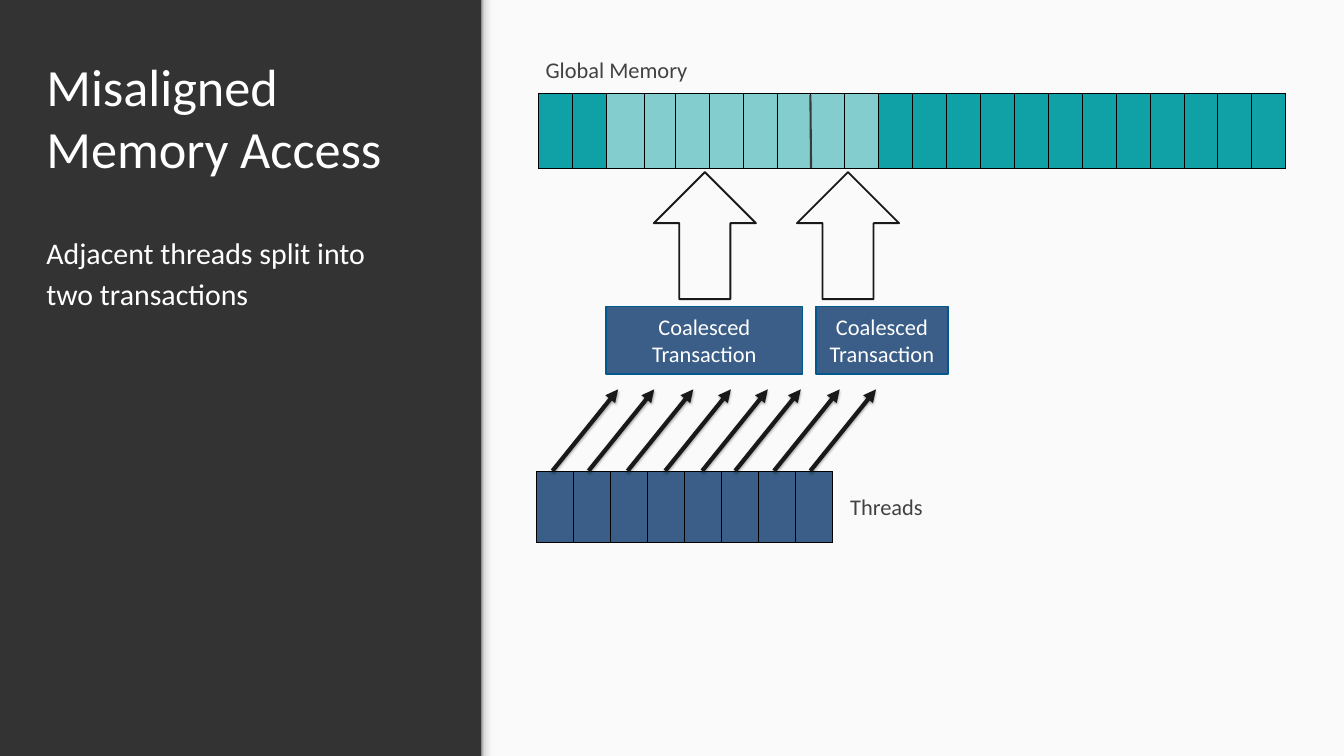
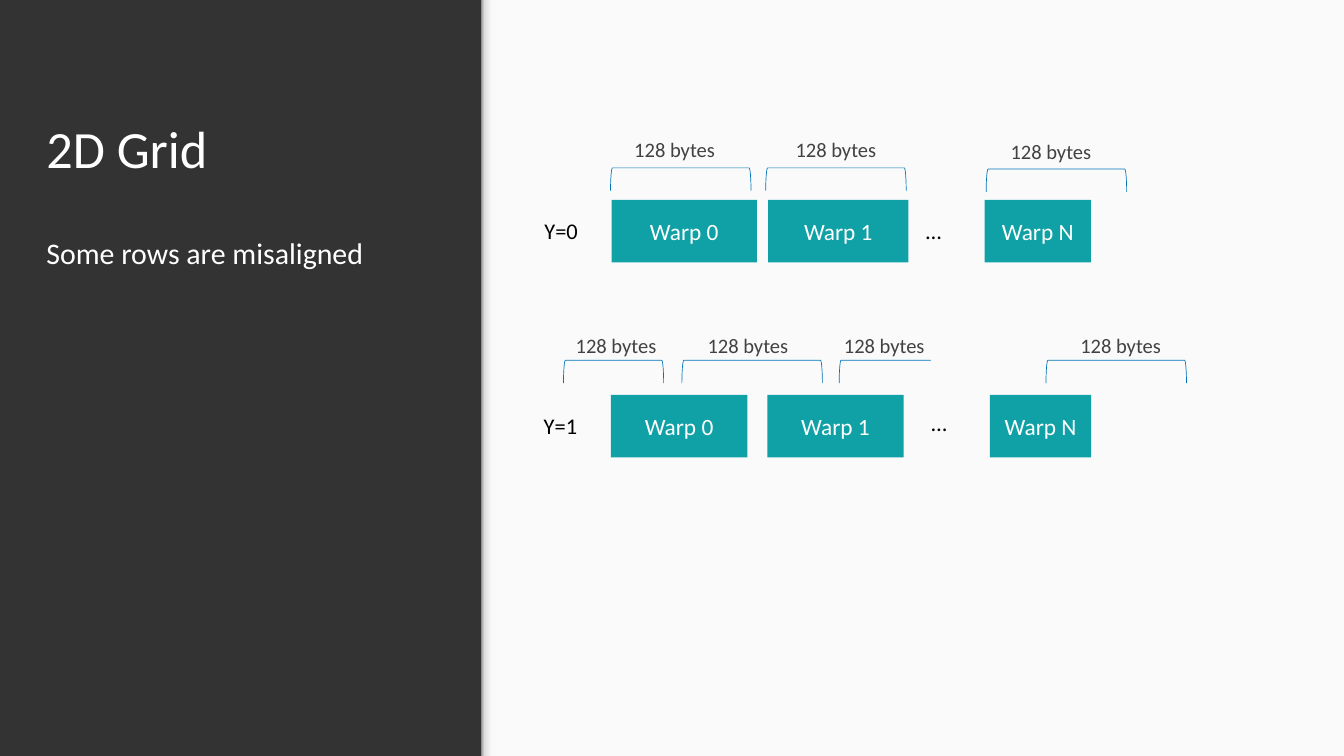
from copy import deepcopy
from pptx import Presentation
from pptx.dml.color import RGBColor
from pptx.enum.shapes import MSO_CONNECTOR as LINK, MSO_SHAPE as KIND
from pptx.enum.text import MSO_ANCHOR as ANCHOR, PP_ALIGN as ALIGN
from pptx.oxml import parse_xml
from pptx.oxml.ns import nsdecls, qn
from pptx.util import Pt

FONT = "Calibri"
DARK = RGBColor(0x33, 0x33, 0x33)
PAPER = RGBColor(0xFA, 0xFA, 0xFA)
WHITE = RGBColor(0xFF, 0xFF, 0xFF)
BLACK = RGBColor(0, 0, 0)
GREY = RGBColor(0x42, 0x42, 0x42)
INK = RGBColor(0x19, 0x19, 0x19)
RULE = RGBColor(0x3A, 0x3A, 0x3A)
TEAL = RGBColor(0x10, 0xA1, 0xA6)
NAVY = RGBColor(0x3A, 0x5E, 0x87)
EDGE = RGBColor(0x01, 0x58, 0x8C)
BLUE = RGBColor(0x00, 0x75, 0xBB)
FADE = [(0, RGBColor(0x99, 0x99, 0x99)), (0.2, RGBColor(0xDE, 0xDE, 0xDE)),
        (0.64, RGBColor(0xF9, 0xF9, 0xF9)), (1, RGBColor(0xF9, 0xF9, 0xF9))]
WIDE, HIGH = 1440, 809.62


def draw(slide, kind, x, y, w, h, fill=None, line=None, width=2):
    shape = slide.shapes.add_shape(kind, Pt(x), Pt(y), Pt(w), Pt(h))
    shape.shadow.inherit = False
    if fill is None:
        shape.fill.background()
    else:
        shape.fill.solid()
        shape.fill.fore_color.rgb = fill
    if line is None:
        shape.line.fill.background()
    else:
        shape.line.color.rgb = line
        shape.line.width = Pt(width)
    return shape


def write(shape, text, size, color, align=ALIGN.LEFT, anchor=ANCHOR.TOP):
    frame = shape.text_frame
    frame.word_wrap = True
    frame.vertical_anchor = anchor
    para = frame.paragraphs[0]
    para.alignment = align
    run = para.add_run()
    run.text = text
    run.font.name = FONT
    run.font.size = Pt(size)
    run.font.color.rgb = color
    return frame


prs = Presentation()
prs.slide_width, prs.slide_height = Pt(WIDE), Pt(HIGH)
back = prs.slide_master.background.fill
back.solid()
back.fore_color.rgb = DARK

# Shared frame: light panel, shaded edge, title and body
slides = []
for title, body in [("Misaligned Memory Access", "Adjacent threads split into two transactions"),
                    ("2D Grid", "Some rows are misaligned")]:
    slide = prs.slides.add_slide(prs.slide_layouts[6])
    slides.append(slide)
    draw(slide, KIND.RECTANGLE, 516.2, 0, WIDE - 516.2, HIGH, PAPER)
    edge = draw(slide, KIND.RECTANGLE, 515.8, 0, 17.3, HIGH, PAPER)
    edge.fill.gradient()
    edge.fill.gradient_angle = 0
    stops = edge._element.spPr.find(".//" + qn("a:gsLst"))
    for stop in list(stops):
        stops.append(deepcopy(stop))
    for stop, (pos, color) in zip(edge.fill.gradient_stops, FADE):
        stop.position = pos
        stop.color.rgb = color
    for text, y, h, size, right, anchor in [(title, 56.4, 150, 56, 14.4, ANCHOR.BOTTOM),
                                            (body, 230.7, 130.3, 32, 50, ANCHOR.TOP)]:
        area = slide.shapes.add_textbox(Pt(35.3), Pt(y), Pt(442), Pt(h))
        frame = write(area, text, size, WHITE, anchor=anchor)
        frame.margin_left = frame.margin_top = frame.margin_bottom = Pt(14.4)
        frame.margin_right = Pt(right)
    frame.paragraphs[0].line_spacing = 1.15
    frame.paragraphs[0].space_after = Pt(16)

# Slide 1: memory cells and thread cells
slide = slides[0]
memory = [36.36] * 22
memory[2:4] = 40.3, 33.1
for x, y, h, cols, color, light in [(577.4, 100.5, 79.5, memory, TEAL, range(2, 10)),
                                    (574.6, 504.9, 75.6, [39.7] * 8, NAVY, ())]:
    table = slide.shapes.add_table(1, len(cols), Pt(x), Pt(y), Pt(sum(cols)), Pt(h)).table
    table.first_row = table.horz_banding = False
    table.rows[0].height = Pt(h)
    for i, w in enumerate(cols):
        table.columns[i].width = Pt(w)
        cell = table.cell(0, i)
        cell.fill.solid()
        cell.fill.fore_color.rgb = color
        props = cell._tc.get_or_add_tcPr()
        if i in light:
            props.find(".//" + qn("a:srgbClr")).append(
                parse_xml(f'<a:alpha {nsdecls("a")} val="50000"/>'))
        for k, side in enumerate("LRTB"):
            props.insert(k, parse_xml(
                f'<a:ln{side} {nsdecls("a")} w="12700"><a:solidFill>'
                f'<a:srgbClr val="{BLACK}"/></a:solidFill></a:ln{side}>'))

# Transactions with their block arrows
for x, w, tip in [(649.4, 210.5, 700.5), (874.2, 141.4, 853.9)]:
    block = draw(slide, KIND.RECTANGLE, x, 328.3, w, 72, NAVY, EDGE)
    write(block, "Coalesced Transaction", 24, WHITE, ALIGN.CENTER, ANCHOR.MIDDLE)
    draw(slide, KIND.UP_ARROW, tip, 184.3, 109.4, 136.1, line=INK)

for text, x, y, w in [("Global Memory", 577.5, 56.3, 180), ("Threads", 903.8, 524.5, 104.4)]:
    write(slide.shapes.add_textbox(Pt(x), Pt(y), Pt(w), Pt(36)), text, 24, GREY)

# Thread arrows, then the line that splits the memory segments
starts = [592, 630.7, 672.5, 712.8, 752.4, 787.7, 829.4, 868.3]
lines = [(x, 504.2, x + 70.3, 417, INK, 4.5) for x in starts]
lines.append((868.3, 101.5, 869, 180, RULE, 2.25))
for x1, y1, x2, y2, color, width in lines:
    link = slide.shapes.add_connector(LINK.STRAIGHT, Pt(x1), Pt(y1), Pt(x2), Pt(y2))
    link.line.color.rgb = color
    link.line.width = Pt(width)
    glow = ""
    if color == INK:
        link.line._get_or_add_ln().append(parse_xml(f'<a:tailEnd {nsdecls("a")} type="triangle"/>'))
        glow = ('<a:outerShdw blurRad="39370" dist="22860" dir="5400000" rotWithShape="0">'
                f'<a:srgbClr val="{BLACK}"><a:alpha val="35000"/></a:srgbClr></a:outerShdw>')
    link._element.spPr.append(parse_xml(f'<a:effectLst {nsdecls("a")}>{glow}</a:effectLst>'))

# Slide 2: each row has a name, dots, warps, brackets and byte labels
slide = slides[1]
rows = [
    ("Y=0", 576.2, 229, 985, 229, 214,
     [(655.4, 155.5), (823, 150.4), (1055, 113.8)],
     [(654.1, 179.8, 150.5), (820.4, 179.8, 150.5), (1056.6, 181.1, 150.5)],
     [(672.5, 142.9), (845.3, 142.9), (1075.7, 145.4)]),
    ("Y=1", 575.5, 437.9, 990.7, 434.9, 422.9,
     [(654.5, 146.2), (822.1, 146.2), (1060.6, 108.6)],
     [(603.7, 385.8, 107.3), (730.6, 385.8, 150.5), (899.1, 385.8, 150.5), (1120.7, 385.8, 150.5)],
     [(609.8, 353.5), (751, 353.5), (897.1, 353.5), (1150.4, 353.5)]),
]
DEPTH = 24.5
for name, x, y, dotx, doty, top, warps, spans, tags in rows:
    for (left, w), mark in zip(warps, "01N"):
        warp = draw(slide, KIND.RECTANGLE, left, top, w, 67, TEAL)
        write(warp, f"Warp {mark}", 25, WHITE, ALIGN.CENTER, ANCHOR.MIDDLE)
    for left, high, w in spans:
        # Turned a quarter about its centre, so width and height swap
        span = draw(slide, KIND.LEFT_BRACKET, left + (w - DEPTH) / 2, high - (w - DEPTH) / 2,
                    DEPTH, w, line=BLUE, width=0.75)
        span.rotation = 90
    if len(spans) == 4:
        # Cuts the third bracket off at the dots
        draw(slide, KIND.RECTANGLE, 997.4, 345.6, 72, 72, PAPER)
    notes = [(name, x, y, 85, 24, BLACK), ("…", dotx, doty, 85, 24, BLACK)]
    notes += [("128 bytes", left, high, 105.8, 22, GREY) for left, high in tags]
    for text, left, high, w, size, color in notes:
        write(slide.shapes.add_textbox(Pt(left), Pt(high), Pt(w), Pt(36)), text, size, color)

prs.save("out.pptx")
